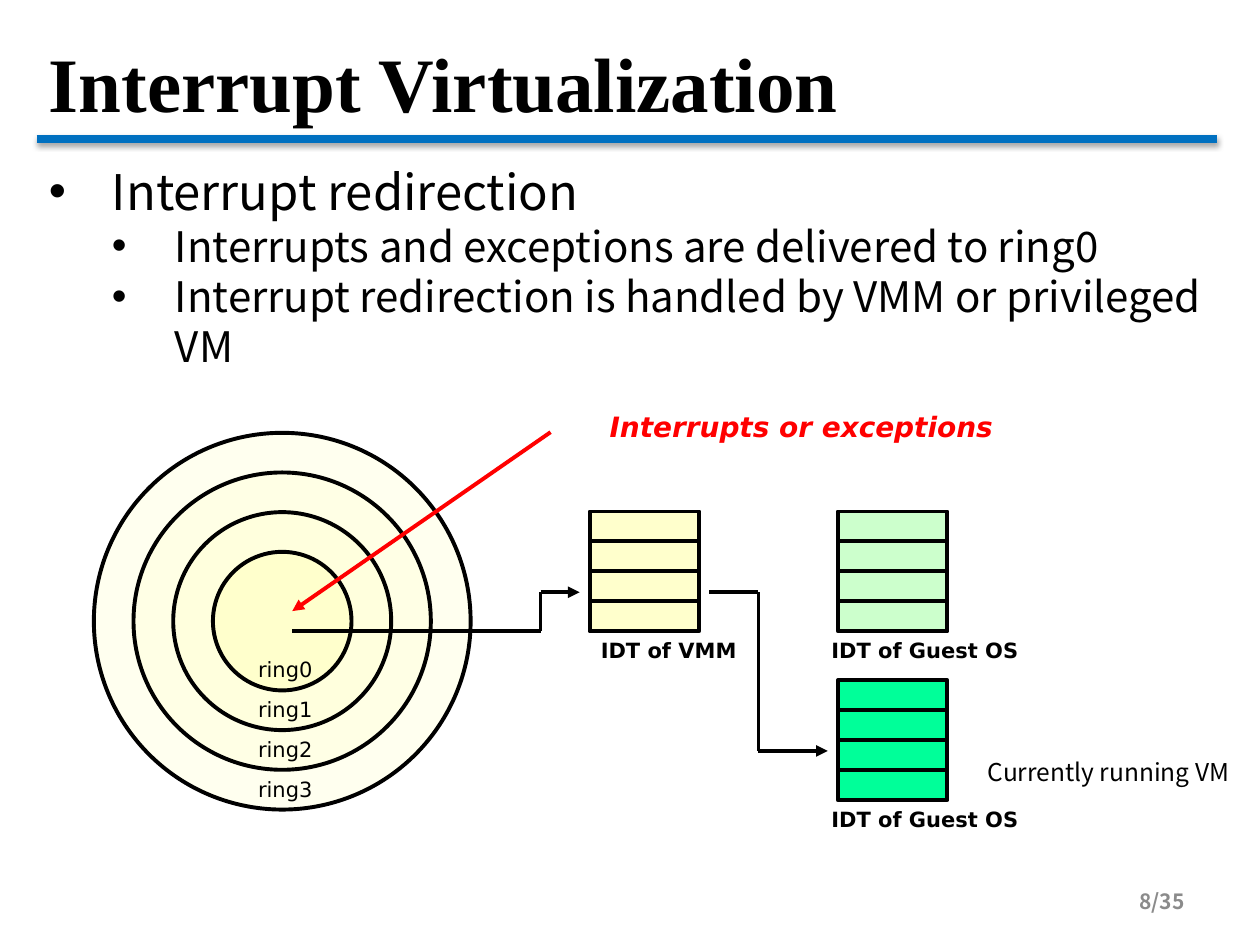
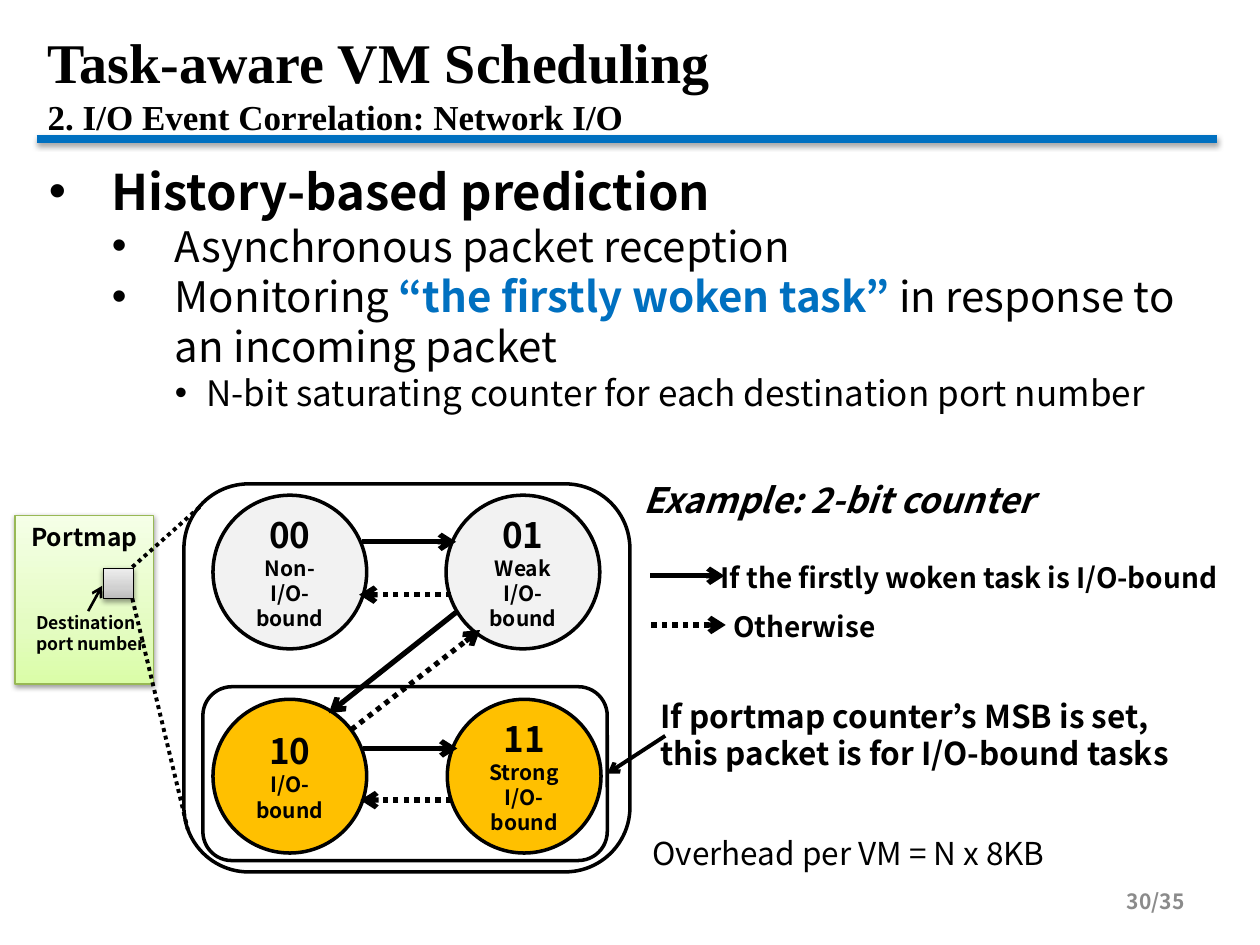
"""Build two slides on interrupt handling and task-aware VM scheduling."""
from dataclasses import dataclass

import lxml.etree
import pptx
import pptx.dml.color
import pptx.enum.dml
import pptx.enum.shapes
import pptx.enum.text
import pptx.oxml.ns
import pptx.util

Inches = pptx.util.Inches
Pt = pptx.util.Pt
Kind = pptx.enum.shapes.MSO_SHAPE
Align = pptx.enum.text.PP_ALIGN
Anchor = pptx.enum.text.MSO_ANCHOR
qn = pptx.oxml.ns.qn

COLORS = {
    "black": "000000", "blue": "0070C0", "red": "FF0000", "gray": "8B8B8B",
    "ring0": "FFFFCC", "ring1": "FFFFDD", "ring2": "FFFFE5", "ring3": "FFFFEF",
    "mint": "CCFFCC", "green": "00FF99", "pale": "F2F2F2", "gold": "FFC000",
    "olive": "98B855",
}
LEAF = ((0, "DAFDA7"), (35, "E4FCC2"), (100, "F5FFE7"))
STEEL = ((0, "BDBDBD"), (35, "D1D1D1"), (100, "EEEEEE"))
BODY, HEAD, LABEL = "Noto Sans CJK KR", "Times New Roman", "DejaVu Sans"
INDENTS = ((0.5, -0.5), (1, -0.5), (1.25, -0.25))
SIZES = (28, 24, 20)


@dataclass
class Run:
    text: str
    color: str = ""
    bold: bool | None = None


@dataclass
class Line:
    runs: str | list[Run]
    size: float = 0
    level: int | None = None
    bold: bool | None = None


@dataclass
class Stack:
    x: float
    y: float
    fill: str
    name: str
    shift: float


@dataclass
class State:
    x: float
    y: float
    fill: str
    bits: str
    names: tuple[str, ...]


@dataclass
class Arrow:
    start: tuple[float, float]
    end: tuple[float, float]
    dotted: bool = False
    width: float = 3
    head: str = "arrow"
    color: str = "black"


@dataclass
class Note:
    x: float
    y: float
    w: float
    h: float
    text: str
    size: float
    bold: bool = True
    italic: bool = False
    font: str = BODY
    color: str = "black"


def paint(name: str) -> pptx.dml.color.RGBColor:
    return pptx.dml.color.RGBColor.from_string(COLORS[name])


def add_node(parent, tag: str, **attrs):
    return lxml.etree.SubElement(parent, qn(tag), {k: str(v) for k, v in attrs.items()})


def cast_shade(effects, alpha: int, dist: float) -> None:
    shade = add_node(effects, "a:outerShdw", blurRad=Pt(3.1), dist=Pt(dist),
                     dir=5400000, rotWithShape=0)
    tint = add_node(shade, "a:srgbClr", val=COLORS["black"])
    add_node(tint, "a:alpha", val=alpha * 1000)


def blend(shape, stops) -> None:
    props = shape._element.spPr
    grad = add_node(props, "a:gradFill", rotWithShape=1)
    group = add_node(grad, "a:gsLst")
    for place, tone in stops:
        add_node(add_node(group, "a:gs", pos=place * 1000), "a:srgbClr", val=tone)
    add_node(grad, "a:lin", ang=270 * 60000, scaled=1)
    props.find(qn("a:prstGeom")).addnext(grad)


def set_bullet(para, level: int) -> None:
    para.level = level
    left, hang = INDENTS[level]
    props = para._p.get_or_add_pPr()
    props.set("marL", str(Inches(left)))
    props.set("indent", str(Inches(hang)))
    add_node(add_node(props, "a:buClr"), "a:srgbClr", val=COLORS["black"])
    add_node(props, "a:buFont", typeface="Arial")
    add_node(props, "a:buChar", char="•")


def write(frame, lines: list[Line], *, size: float = 12, font: str = BODY,
          color: str = "black", bold: bool = False, italic: bool = False,
          align=Align.LEFT, anchor=Anchor.TOP) -> None:
    frame.word_wrap = True
    frame.vertical_anchor = anchor
    for index, line in enumerate(lines):
        para = frame.add_paragraph() if index else frame.paragraphs[0]
        para.alignment = align
        if line.level is not None:
            set_bullet(para, line.level)
        runs = [Run(line.runs)] if isinstance(line.runs, str) else line.runs
        for part in runs:
            run = para.add_run()
            run.text = part.text
            face = run.font
            face.name = font
            face.size = Pt(line.size or size)
            face.italic = italic
            face.bold = next((b for b in (part.bold, line.bold) if b is not None), bold)
            face.color.rgb = paint(part.color or color)
            add_node(run._r.get_or_add_rPr(), "a:ea", typeface=font)


def add_text(slide, x: float, y: float, w: float, h: float, lines: list[Line], **style):
    box = slide.shapes.add_textbox(Inches(x), Inches(y), Inches(w), Inches(h))
    write(box.text_frame, lines, **style)


def add_note(slide, note: Note) -> None:
    lines = [Line(text) for text in note.text.split("\n")]
    add_text(slide, note.x, note.y, note.w, note.h, lines, size=note.size,
             font=note.font, color=note.color, bold=note.bold, italic=note.italic)


def add_form(slide, kind, x: float, y: float, w: float, h: float, *, fill: str = "",
             stops=(), line: str = "black", width: float = 2.25):
    shape = slide.shapes.add_shape(kind, Inches(x), Inches(y), Inches(w), Inches(h))
    shape.shadow.inherit = False
    shape.line.color.rgb = paint(line)
    shape.line.width = Pt(width)
    if fill:
        shape.fill.solid()
        shape.fill.fore_color.rgb = paint(fill)
    elif stops:
        blend(shape, stops)
        cast_shade(shape._element.spPr.find(qn("a:effectLst")), 38, 1.6)
    else:
        shape.fill.background()
    if kind == Kind.ROUNDED_RECTANGLE:
        shape.adjustments[0] = 0.167
    return shape


def add_arrow(slide, arrow: Arrow):
    link = slide.shapes.add_connector(
        pptx.enum.shapes.MSO_CONNECTOR.STRAIGHT,
        *(Inches(v) for v in (*arrow.start, *arrow.end)))
    link.line.color.rgb = paint(arrow.color)
    link.line.width = Pt(arrow.width)
    if arrow.dotted:
        link.line.dash_style = pptx.enum.dml.MSO_LINE.ROUND_DOT
    if arrow.head:
        add_node(link.line._get_or_add_ln(), "a:tailEnd", type=arrow.head)
    return add_node(link._element.spPr, "a:effectLst")


def add_path(slide, *points: tuple[float, float]) -> None:
    last = len(points) - 2
    for index, (start, end) in enumerate(zip(points, points[1:])):
        head = "triangle" if index == last else ""
        add_arrow(slide, Arrow(start, end, width=2.25, head=head))


def add_stack(slide, stack: Stack) -> None:
    for row in range(4):
        add_form(slide, Kind.RECTANGLE, stack.x, stack.y + row * 0.237, 0.87, 0.24,
                 fill=stack.fill)
    add_note(slide, Note(stack.x + stack.shift, stack.y + 0.95, 0.3 + 0.1 * len(stack.name),
                         0.3, stack.name, 12, font=LABEL))


def add_state(slide, state: State) -> None:
    shape = add_form(slide, Kind.OVAL, state.x, state.y, 1.22, 1.22,
                     fill=state.fill, width=2)
    lines = [Line(state.bits, 20), *(Line(name) for name in state.names)]
    write(shape.text_frame, lines, bold=True, align=Align.CENTER, anchor=Anchor.MIDDLE)


def add_frame(deck, title: list[Line], place: tuple[float, ...], body: list[Line], page: int):
    slide = deck.slides.add_slide(deck.slide_layouts[6])
    band = add_arrow(slide, Arrow((0.29, 1.1), (9.66, 1.1), width=4.5, head="", color="blue"))
    cast_shade(band, 35, 1.8)
    add_text(slide, *place, title, font=HEAD, bold=True, anchor=Anchor.MIDDLE)
    for line in body:
        line.size = SIZES[line.level]
    add_text(slide, 0.29, 1.23, 9.37, 5.51, body)
    add_text(slide, 7.17, 6.95, 2.33, 0.4, [Line(f"{page}/35")], color="gray",
             bold=True, align=Align.RIGHT, anchor=Anchor.MIDDLE)
    return slide


def draw_rings(deck) -> None:
    slide = add_frame(deck, [Line("Interrupt Virtualization", 44)], (0.29, 0.14, 9.37, 1.01), [
        Line("Interrupt redirection", level=0),
        Line("Interrupts and exceptions are delivered to ring0", level=1),
        Line("Interrupt redirection is handled by VMM or privileged VM", level=1),
    ], 8)
    for ring in reversed(range(4)):
        size = 1.1 + 0.63 * ring
        add_form(slide, Kind.OVAL, 2.24 - size / 2, 4.93 - size / 2, size, size,
                 fill=f"ring{ring}")
    for ring in range(4):
        add_note(slide, Note(1.95, 5.16 + ring * 0.317, 0.7, 0.3, f"ring{ring}", 12,
                             bold=False, font=LABEL))
    for stack in (Stack(4.68, 4.06, "ring0", "IDT of VMM", -0.01),
                  Stack(6.65, 4.06, "mint", "IDT of Guest OS", -0.15),
                  Stack(6.65, 5.4, "green", "IDT of Guest OS", -0.15)):
        add_stack(slide, stack)
    add_arrow(slide, Arrow((4.37, 3.43), (2.32, 4.85), width=2.25, head="triangle", color="red"))
    add_path(slide, (2.32, 5.01), (4.29, 5.01), (4.29, 4.7), (4.6, 4.7))
    add_path(slide, (5.63, 4.7), (6.02, 4.7), (6.02, 5.96), (6.57, 5.96))
    add_note(slide, Note(4.74, 3.2, 3.3, 0.36, "Interrupts or exceptions", 16,
                         italic=True, font=LABEL, color="red"))
    add_note(slide, Note(7.74, 5.96, 2.2, 0.33, "Currently running VM", 14, bold=False))


def draw_states(deck) -> None:
    slide = add_frame(deck, [
        Line("Task-aware VM Scheduling", 32),
        Line("2. I/O Event Correlation: Network I/O", 20),
    ], (0.28, 0.03, 8.52, 1.25), [
        Line("History-based prediction", level=0, bold=True),
        Line("Asynchronous packet reception", level=1),
        Line([Run("Monitoring "), Run("“the firstly woken task” ", "blue", True),
              Run("in response to an incoming packet")], level=1),
        Line("N-bit saturating counter for each destination port number", level=2),
    ], 30)
    card = add_form(slide, Kind.RECTANGLE, 0.12, 4.09, 1.1, 1.34, stops=LEAF,
                    line="olive", width=0.75)
    write(card.text_frame, [Line("Portmap")], size=14, bold=True, align=Align.CENTER)
    add_form(slide, Kind.RECTANGLE, 0.82, 4.51, 0.24, 0.24, stops=STEEL, width=0.75)
    add_form(slide, Kind.ROUNDED_RECTANGLE, 1.46, 3.84, 3.54, 3.08, width=2)
    for start, end in (((1.05, 4.5), (1.6, 4.01)), ((1.05, 4.75), (1.49, 6.58))):
        add_arrow(slide, Arrow(start, end, True, 2.25, ""))
    for state in (State(1.69, 3.93, "pale", "00", ("Non-", "I/O-bound")),
                  State(3.54, 3.93, "pale", "01", ("Weak I/O-bound",)),
                  State(1.69, 5.55, "gold", "10", ("I/O-bound",)),
                  State(3.55, 5.55, "gold", "11", ("Strong I/O-bound",))):
        add_state(slide, state)
    add_form(slide, Kind.ROUNDED_RECTANGLE, 1.61, 5.45, 3.21, 1.38, width=2)
    for arrow in (Arrow((2.87, 4.3), (3.62, 4.3)), Arrow((2.88, 5.94), (3.63, 5.94)),
                  Arrow((3.62, 4.86), (2.61, 5.66)), Arrow((3.58, 4.72), (2.85, 4.72), True),
                  Arrow((2.79, 5.79), (3.81, 5), True), Arrow((3.58, 6.35), (2.86, 6.35), True),
                  Arrow((5.16, 4.57), (5.75, 4.57)), Arrow((5.17, 4.96), (5.76, 4.96), True),
                  Arrow((5.28, 5.84), (4.82, 6.14), width=2.25),
                  Arrow((0.7, 4.85), (0.81, 4.65), width=1.5)):
        add_arrow(slide, arrow)
    for note in (
            Note(5.62, 4.4, 4.25, 0.36, "If the firstly woken task is I/O-bound", 16),
            Note(5.72, 4.79, 1.4, 0.36, "Otherwise", 16),
            Note(5.14, 5.48, 4.35, 0.7,
                 "If portmap counter’s MSB is set,\nthis packet is for I/O-bound tasks", 18),
            Note(5.01, 3.75, 3.45, 0.43, "Example: 2-bit counter", 20, italic=True),
            Note(0.19, 4.81, 1.15, 0.43, "Destination\nport number", 10),
            Note(5.08, 6.57, 3.45, 0.4, "Overhead per VM = N x 8KB", 18, bold=False)):
        add_note(slide, note)


def main() -> None:
    deck = pptx.Presentation()
    deck.slide_width, deck.slide_height = Inches(10), Inches(7.5)
    draw_rings(deck)
    draw_states(deck)
    deck.save("out.pptx")


if __name__ == "__main__":
    main()
